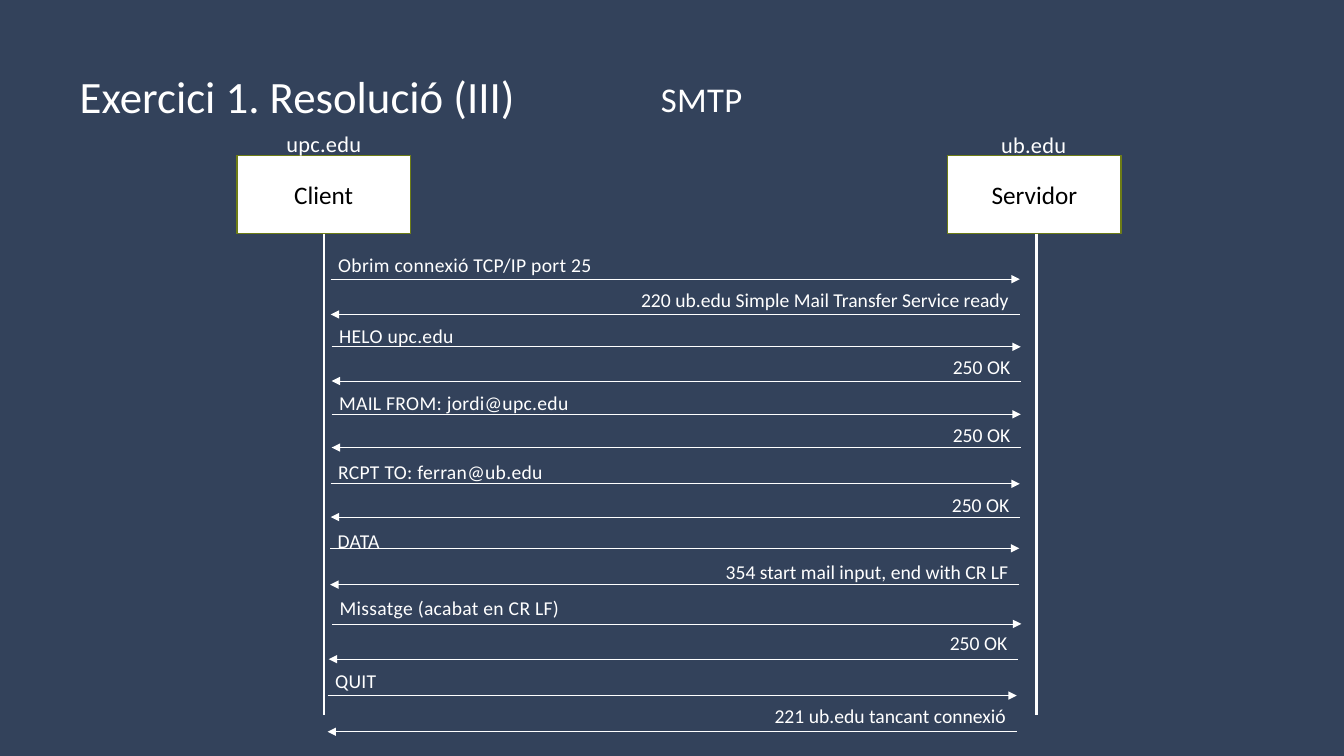
import dataclasses

import pptx
import pptx.dml.color
import pptx.enum.shapes
import pptx.enum.text
import pptx.oxml
import pptx.oxml.ns
import pptx.util
from pptx.enum.text import MSO_ANCHOR, MSO_AUTO_SIZE, PP_ALIGN

FONT = "Calibri"
COLORS = {"ground": "33425B", "ink": "FFFFFF", "box": "FFFFFF",
          "box_edge": "6E7D16", "box_text": "000000"}

# The grid has 100 columns and 100 rows.
SLIDE_WIDTH = pptx.util.Inches(13.33)
SLIDE_HEIGHT = pptx.util.Inches(7.5)

PARTY_TOP, PARTY_WIDTH, PARTY_HEIGHT = 20.53, 12.9, 10.4
LIFELINE_END = 94.53
ARROW_SPAN = 51.27
REQUEST_INDENT, REQUEST_WIDTH = 0.55, 38.5
REPLY_INDENT, REPLY_WIDTH = 10.43, 40.8
LABEL_HEIGHT, REPLY_HEIGHT = 6.93, 4.53


@dataclasses.dataclass(frozen=True)
class Party:
    role: str
    left: float
    lifeline: float
    host: str
    host_left: float
    host_top: float


@dataclasses.dataclass(frozen=True)
class Message:
    wording: str
    label_top: float
    arrow_row: float
    left: float
    is_reply: bool = False


PARTIES = [
    Party("Client", 17.63, 24.08, "upc.edu", 21.31, 16.53),
    Party("Servidor", 70.52, 77.12, "ub.edu", 74.49, 16.67),
]

MESSAGES = [
    Message("Obrim connexió TCP/IP port 25", 32.8, 36.93, 24.61),
    Message("220 ub.edu Simple Mail Transfer Service ready", 37.47, 41.6, 24.61, True),
    Message("HELO upc.edu", 42.27, 45.87, 24.68),
    Message("250 OK", 46.27, 50.4, 24.68, True),
    Message("MAIL FROM: jordi@upc.edu", 51.07, 54.8, 24.68),
    Message("250 OK", 55.33, 59.2, 24.68, True),
    Message("RCPT TO: ferran@ub.edu", 60.27, 64, 24.61),
    Message("250 OK", 64.53, 68.4, 24.61, True),
    Message("DATA", 69.33, 72.53, 24.57),
    Message("354 start mail input, end with CR LF", 73.47, 77.33, 24.57, True),
    Message("Missatge (acabat en CR LF)", 78.27, 82.53, 24.72),
    Message("250 OK", 82.8, 87.2, 24.46, True),
    Message("QUIT", 87.87, 92, 24.38),
    Message("221 ub.edu tancant connexió", 92.4, 96.8, 24.38, True),
]


def col(columns: float) -> int:
    return round(SLIDE_WIDTH * columns / 100)


def row(rows: float) -> int:
    return round(SLIDE_HEIGHT * rows / 100)


def rgb(name: str) -> pptx.dml.color.RGBColor:
    return pptx.dml.color.RGBColor.from_string(COLORS[name])


def write(shape, text: str, *, size: float, color: str = "ink", align=PP_ALIGN.LEFT,
          anchor=MSO_ANCHOR.TOP, inset: bool = False, tracking: float = 0,
          line_spacing: float = 1, space_before: float = 0, grow: bool = False) -> None:
    """Fill a shape with one formatted paragraph; tracking is in points."""
    frame = shape.text_frame
    frame.word_wrap = True
    frame.vertical_anchor = anchor
    if grow:
        frame.auto_size = MSO_AUTO_SIZE.SHAPE_TO_FIT_TEXT
    if not inset:
        frame.margin_left = frame.margin_right = 0
        frame.margin_top = frame.margin_bottom = 0
    paragraph = frame.paragraphs[0]
    paragraph.alignment = align
    paragraph.line_spacing = line_spacing
    paragraph.space_before = pptx.util.Pt(space_before)
    run = paragraph.add_run()
    run.text = text
    run.font.name = FONT
    run.font.size = pptx.util.Pt(size)
    run.font.color.rgb = rgb(color)
    if tracking:
        run._r.get_or_add_rPr().set("spc", str(round(tracking * 100)))


def add_text(slide, text: str, left: float, top: float, width: float,
             height: float, **text_format) -> None:
    box = slide.shapes.add_textbox(col(left), row(top), col(width), row(height))
    write(box, text, **text_format)


def add_label(slide, text: str, left: float, top: float, width: float, size: float) -> None:
    """Add a slightly tracked label with open line spacing."""
    add_text(slide, text, left, top, width, LABEL_HEIGHT, size=size,
             tracking=0.2, line_spacing=1.2, space_before=10)


def add_line(slide, start: tuple[float, float], end: tuple[float, float],
             weight: float, arrow: bool = False) -> None:
    line = slide.shapes.add_connector(
        pptx.enum.shapes.MSO_CONNECTOR.STRAIGHT,
        col(start[0]), row(start[1]), col(end[0]), row(end[1]))
    line.line.color.rgb = rgb("ink")
    line.line.width = pptx.util.Pt(weight)
    if arrow:
        head = pptx.oxml.parse_xml(
            f'<a:tailEnd {pptx.oxml.ns.nsdecls("a")} type="triangle"/>')
        line.line._get_or_add_ln().append(head)
    line._element.spPr.append(
        pptx.oxml.parse_xml(f'<a:effectLst {pptx.oxml.ns.nsdecls("a")}/>'))


def add_party(slide, party: Party) -> None:
    box = slide.shapes.add_shape(
        pptx.enum.shapes.MSO_SHAPE.RECTANGLE, col(party.left), row(PARTY_TOP),
        col(PARTY_WIDTH), row(PARTY_HEIGHT))
    box.shadow.inherit = False
    box.fill.solid()
    box.fill.fore_color.rgb = rgb("box")
    box.line.color.rgb = rgb("box_edge")
    box.line.width = pptx.util.Pt(1)
    write(box, party.role, size=18, color="box_text", align=PP_ALIGN.CENTER,
          anchor=MSO_ANCHOR.MIDDLE, inset=True)
    add_line(slide, (party.lifeline, PARTY_TOP + PARTY_HEIGHT),
             (party.lifeline, LIFELINE_END), 1.5)
    add_label(slide, party.host, party.host_left, party.host_top, 7.8, 16)


def add_message(slide, message: Message) -> None:
    client_end = (message.left, message.arrow_row)
    server_end = (message.left + ARROW_SPAN, message.arrow_row)
    if message.is_reply:
        add_line(slide, server_end, client_end, 0.5, arrow=True)
        add_text(slide, message.wording, message.left + REPLY_INDENT, message.label_top,
                 REPLY_WIDTH, REPLY_HEIGHT, size=14, align=PP_ALIGN.RIGHT,
                 inset=True, grow=True)
    else:
        add_line(slide, client_end, server_end, 0.5, arrow=True)
        add_label(slide, message.wording, message.left + REQUEST_INDENT,
                  message.label_top, REQUEST_WIDTH, 14)


def main() -> None:
    deck = pptx.Presentation()
    deck.slide_width, deck.slide_height = SLIDE_WIDTH, SLIDE_HEIGHT
    slide = deck.slides.add_slide(deck.slide_layouts[6])
    slide.background.fill.solid()
    slide.background.fill.fore_color.rgb = rgb("ground")

    add_text(slide, "Exercici 1. Resolució (III)", 5.93, 9.07, 88, 21.6, size=32)
    add_text(slide, "SMTP", 48.31, 10.27, 7.8, LABEL_HEIGHT, size=24.8,
             align=PP_ALIGN.CENTER, tracking=0.2, space_before=10)
    for party in PARTIES:
        add_party(slide, party)
    for message in MESSAGES:
        add_message(slide, message)
    deck.save("out.pptx")


if __name__ == "__main__":
    main()
